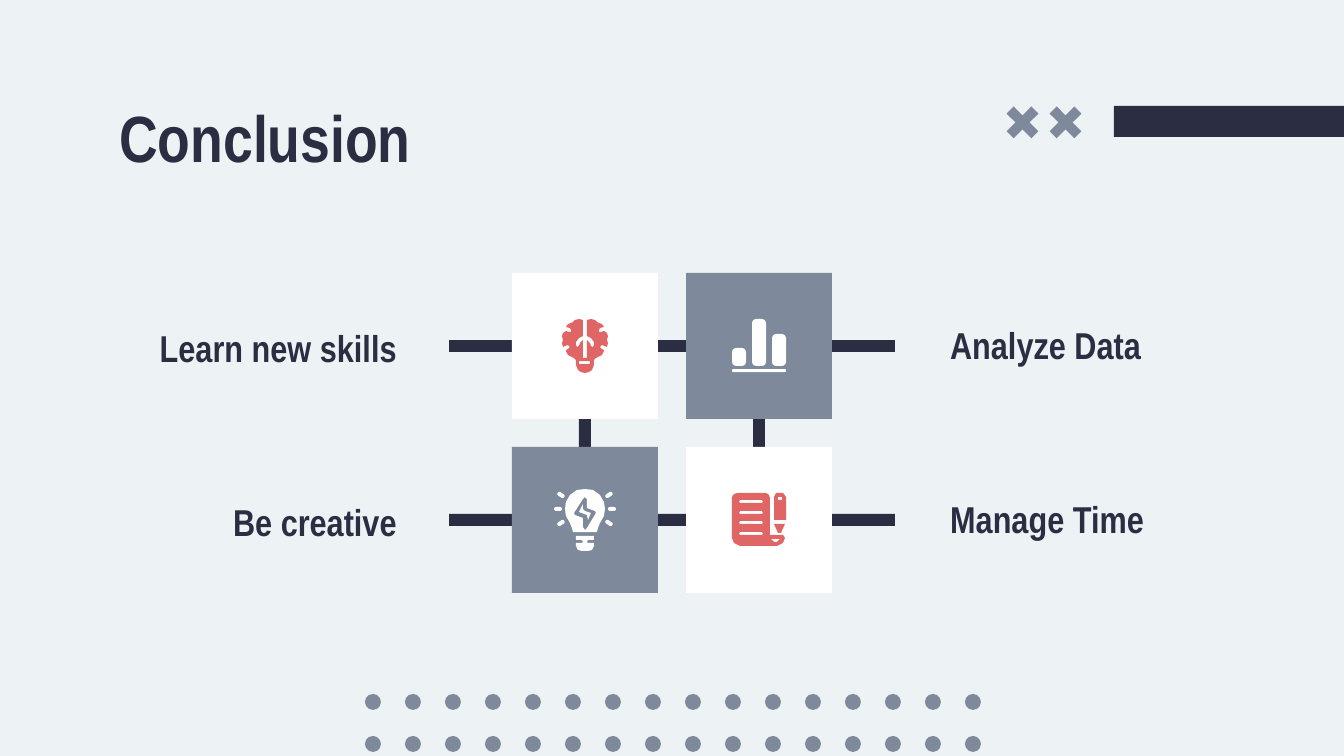
from pptx import Presentation
from pptx import util as u
from pptx.dml.color import RGBColor
from pptx.enum import shapes, text

PX = 9144000 / 1344
NAVY, GREY, RED, WHITE = "2B2D42", "7E899C", "E06666", "FFFFFF"
KIND = shapes.MSO_SHAPE

deck = Presentation()
deck.slide_width, deck.slide_height = round(1344 * PX), round(756 * PX)
slide = deck.slides.add_slide(deck.slide_layouts[6])
slide.background.fill.solid()
slide.background.fill.fore_color.rgb = RGBColor.from_string("EDF2F4")


def block(kind, x, y, w, h, hue, adj=None, turn=0):
    item = slide.shapes.add_shape(kind, *[round(v * PX) for v in (x, y, w, h)])
    if adj is not None:
        item.adjustments[0] = adj
    item.rotation = turn
    item.shadow.inherit = False
    item.fill.solid()
    item.fill.fore_color.rgb = RGBColor.from_string(hue)
    item.line.fill.background()


def outline(rings, hue, mid=None):
    """Draw closed rings; with mid, the first ring is half a figure to mirror."""
    if mid:
        half = rings[0]
        whole = [(mid - x, y) for x, y in half] + [(mid + x, y) for x, y in half[::-1]]
        rings = [whole] + rings[1:]
    pen = slide.shapes.build_freeform(*rings[0][0], scale=PX)
    for ring in rings:
        if ring is not rings[0]:
            pen.move_to(*ring[0])
        pen.add_line_segments(ring[1:], close=True)
    item = pen.convert_to_shape()
    item.shadow.inherit = False
    item.fill.solid()
    item.fill.fore_color.rgb = RGBColor.from_string(hue)
    item.line.fill.background()


# Corner bar, crosses and dots
block(KIND.RECTANGLE, 1114, 106, 230, 31, NAVY)
for x in (1005, 1048):
    block(KIND.CROSS, x, 105, 35, 35, GREY, 0.356, 45)
for y in (694, 736):
    for col in range(16):
        block(KIND.OVAL, 365 + 40 * col, y, 16, 16, GREY)

# Links between the tiles
for y in (340, 514):
    for x, w in ((449, 63), (622, 97), (832, 63)):
        block(KIND.RECTANGLE, x, y, w, 12, NAVY)
for x in (579, 753):
    block(KIND.RECTANGLE, x, 385, 12, 97, NAVY)

# Tiles
for row in range(2):
    for col in range(2):
        hue = WHITE if row == col else GREY
        block(KIND.RECTANGLE, 512 + 174 * col, 273 + 174 * row, 146, 146, hue)

# Brain
brain = [(2, 358), (2, 340), (5, 343), (6, 346), (8, 347), (9, 345), (9, 342),
         (6, 338), (2, 336), (2, 320), (6, 319), (10, 320), (12, 322), (14, 323),
         (17, 324), (19, 327), (15, 328), (14, 330), (14, 332), (16, 332),
         (19, 331), (22, 333), (23, 336), (22, 340), (23, 343), (22, 347),
         (20, 346), (17, 345), (15, 347), (17, 349), (19, 350), (19, 351),
         (17, 355), (13, 357), (11, 358), (9, 360), (9, 365), (7, 370),
         (4, 372), (0, 373)]
slot = [(579, 361), (590, 361), (590, 364), (579, 364)]
outline([brain, slot], RED, 585)

# Bar chart icon
for x, y, h in ((732, 348, 18), (752, 319, 47), (772, 334, 32)):
    block(KIND.ROUNDED_RECTANGLE, x, y, 14, h, WHITE, 0.3)
block(KIND.ROUNDED_RECTANGLE, 732, 369, 54, 3, WHITE, 0.5)

# Light bulb
bulb = [(0, 489), (8, 490), (15, 495), (19, 502), (20, 509), (19, 516),
        (15, 523), (13, 528), (12, 532)]
rim = [(585, 497), (587, 499), (587, 508), (595, 511), (596, 513), (587, 528),
       (585, 530), (583, 527), (583, 518), (575, 515), (574, 513), (583, 499)]
bolt = [(583, 504), (579, 512), (587, 515), (588, 520), (591, 513), (585, 511),
        (583, 509)]
base = [(9, 536), (9, 540), (3, 540), (2, 542), (3, 543), (9, 543), (9, 546),
        (7, 550), (3, 551)]
outline([bulb, rim, bolt], WHITE, 585)
outline([base], WHITE, 585)
for side in (-1, 1):
    for x, y, turn in ((24, 495, -33), (27, 509, 0), (24, 523, 33)):
        block(KIND.ROUNDED_RECTANGLE, 581 + side * x, y - 2, 8, 4, WHITE, 0.5, side * turn)

# Scroll and pen
scroll = [(737, 493), (766, 493), (769, 495), (770, 498), (770, 535), (783, 535),
          (785, 538), (783, 543), (777, 546), (740, 546), (734, 543), (732, 538),
          (732, 498), (733, 495)]
lines = [[(740, y), (762, y), (763, y + 2), (762, y + 3), (740, y + 3), (739, y + 2)]
         for y in (500, 511, 521, 532)]
curl = [(771, 539), (780, 539), (777, 542), (774, 542)]
shaft = [(774, 497), (776, 493), (783, 493), (786, 497), (786, 520), (774, 520)]
clip = [(778, 497), (782, 497), (782, 500), (778, 500)]
tip = [(774, 524), (785, 524), (781, 533), (778, 533)]
for rings in ([scroll, *lines, curl], [shaft, clip], [tip]):
    outline(rings, RED)

# Title and labels
LEFT, RIGHT = text.PP_ALIGN.LEFT, text.PP_ALIGN.RIGHT
TOP, MID = text.MSO_ANCHOR.TOP, text.MSO_ANCHOR.MIDDLE
for words, x, y, w, h, size, side, hold in (
        ("Conclusion", 106, 84, 711, 83, 35, LEFT, TOP),
        ("Learn new skills", 117, 312, 293, 66, 20, RIGHT, TOP),
        ("Be creative", 172, 486, 238, 66, 20, RIGHT, TOP),
        ("Analyze Data", 937, 312, 238, 66, 20, LEFT, MID),
        ("Manage Time", 937, 486, 238, 66, 20, LEFT, MID)):
    frame = slide.shapes.add_textbox(*[round(v * PX) for v in (x, y, w, h)]).text_frame
    look = {"word_wrap": True, "vertical_anchor": hold}
    look.update({"margin_" + edge: u.Inches(0.1) for edge in ("left", "right", "top", "bottom")})
    for key, val in look.items():
        setattr(frame, key, val)
    para = frame.paragraphs[0]
    para.alignment = side
    run = para.add_run()
    run.text = words
    for key, val in {"name": "Arial Narrow", "size": u.Pt(size), "bold": True}.items():
        setattr(run.font, key, val)
    run.font.color.rgb = RGBColor.from_string(NAVY)

deck.save("out.pptx")
